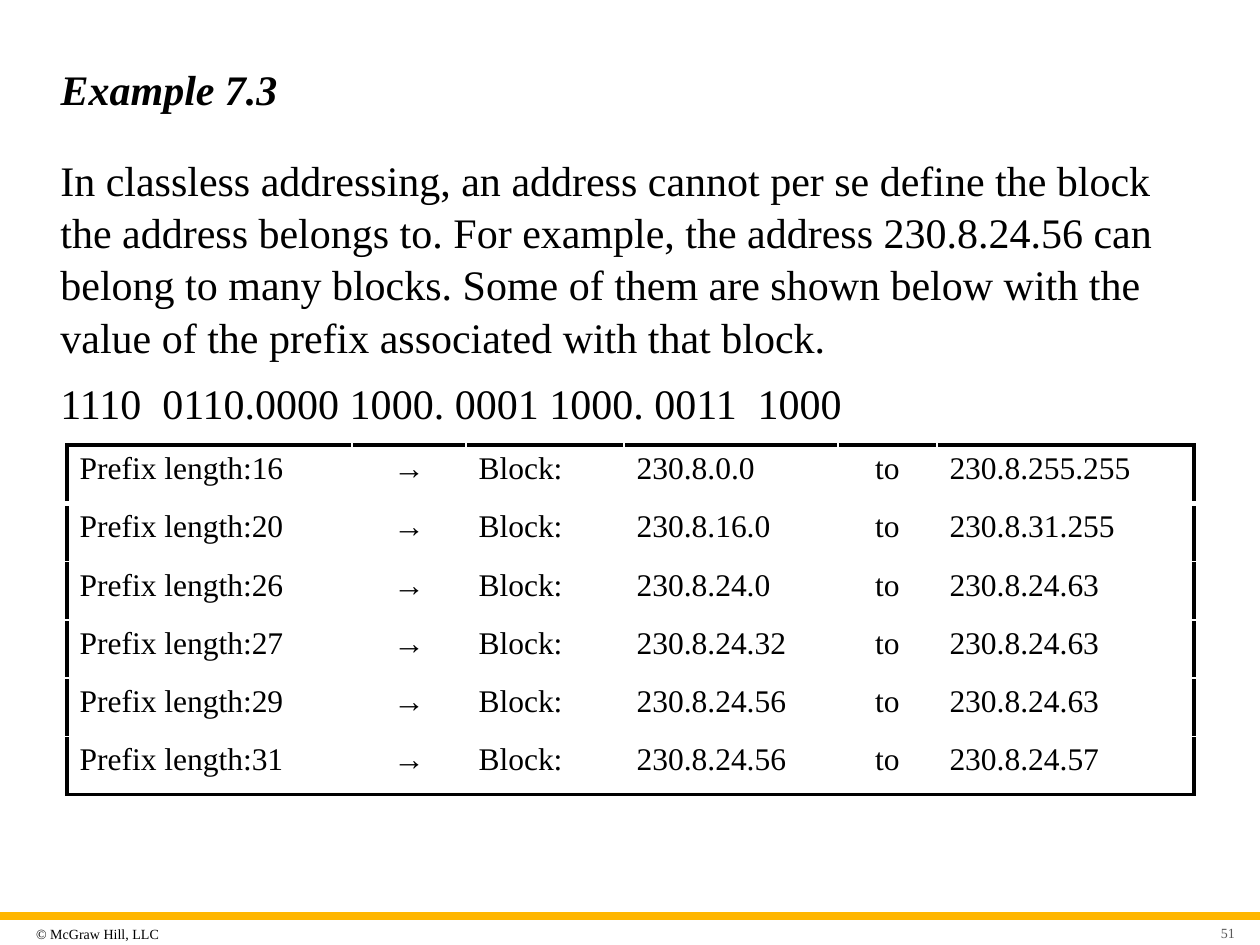
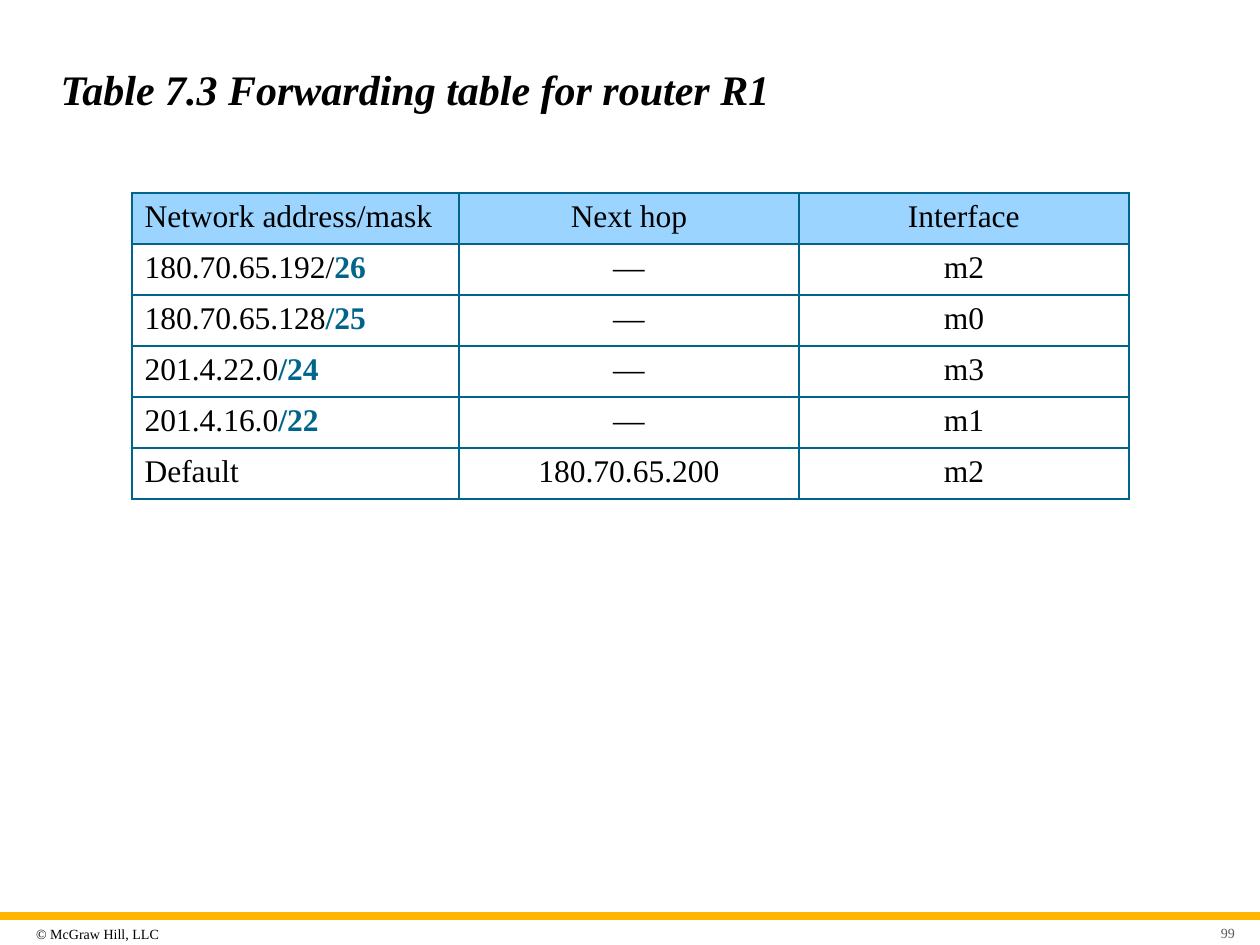
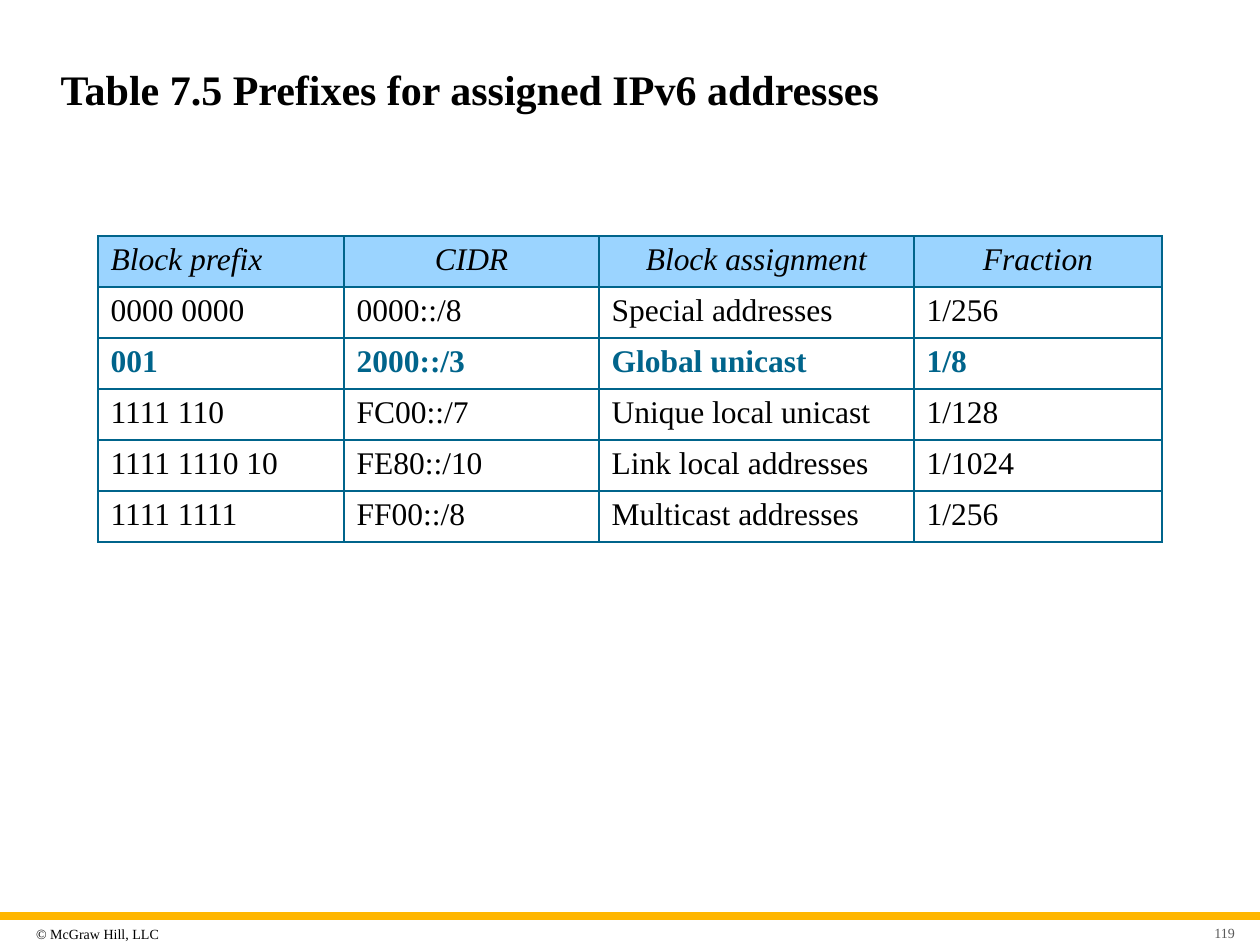
from pptx import Presentation
from pptx.dml.color import RGBColor
from pptx.enum.shapes import MSO_SHAPE as Shape
from pptx.enum.text import MSO_ANCHOR as Anchor, PP_ALIGN as Align
from pptx.oxml import parse_xml
from pptx.oxml.ns import nsdecls
from pptx.util import Emu, Pt

FACE = "Times New Roman"
BLACK, WHITE, GREY = "000000", "FFFFFF", "595959"
GOLD, TEAL, SKY = "FFB600", "00648B", "9BD4FF"
TITLE = (48, 42, 1166, 93)


def px(n):
    return Emu(round(n * 914400 / 126))


def rgb(code):
    return RGBColor.from_string(code)


def add_run(para, text, size, color=BLACK, bold=False, italic=False):
    run = para.add_run()
    run.text = text
    font = run.font
    font.name, font.size = FACE, Pt(size)
    font.bold, font.italic = bold, italic
    font.color.rgb = rgb(color)


def add_box(slide, area, pad=None, anchor=Anchor.TOP):
    frame = slide.shapes.add_textbox(*map(px, area)).text_frame
    frame.word_wrap = True
    frame.vertical_anchor = anchor
    if pad:
        frame.margin_left, frame.margin_top = px(pad[0]), px(pad[1])
        frame.margin_right, frame.margin_bottom = px(pad[2]), px(pad[3])
    return frame


def add_foot(slide, page):
    band = slide.shapes.add_shape(Shape.RECTANGLE, *map(px, (0, 912, 1260, 8)))
    band.shadow.inherit = False
    band.fill.solid()
    band.fill.fore_color.rgb = rgb(GOLD)
    band.line.fill.background()
    owner = add_box(slide, (30, 919, 170, 30), (6, 6, 6, 6), Anchor.MIDDLE)
    add_run(owner.paragraphs[0], "© McGraw Hill, LLC", 8)
    count = add_box(slide, (1192, 921, 49, 23), (12, 6, 6, 6), Anchor.MIDDLE)
    count.paragraphs[0].alignment = Align.RIGHT
    add_run(count.paragraphs[0], str(page), 8, GREY)


def add_slide(deck, title, page, italic=True):
    slide = deck.slides.add_slide(deck.slide_layouts[5])
    add_foot(slide, page)
    head = slide.shapes.title
    head.left, head.top, head.width, head.height = map(px, TITLE)
    frame = head.text_frame
    frame.vertical_anchor = Anchor.MIDDLE
    para = frame.paragraphs[0]
    para.alignment = Align.LEFT
    add_run(para, title, 24, bold=True, italic=italic)
    return slide


def add_body(slide, area, texts):
    frame = add_box(slide, area)
    for i, text in enumerate(texts):
        para = frame.add_paragraph() if i else frame.paragraphs[0]
        para.line_spacing = 1.04
        para.space_after = Pt(8)
        add_run(para, text, 24)


def set_edge(cell, side, color, width):
    cell._tc.get_or_add_tcPr().append(parse_xml(
        f'<a:ln{side} {nsdecls("a")} w="{Pt(width)}"><a:solidFill>'
        f'<a:srgbClr val="{color}"/></a:solidFill></a:ln{side}>'))


def grid_edge(side, row, col, rows, cols):
    return TEAL, 1


def frame_edge(side, row, col, rows, cols):
    outer = {"L": col == 0, "R": col == cols - 1,
             "T": row == 0, "B": row == rows - 1}
    if outer[side]:
        return BLACK, 2.25
    return WHITE, 3 if side == "B" and row == 0 else 1


def add_grid(slide, spot, widths, height, data, edge=grid_edge,
             head=WHITE, slant=False, mid=(), top=()):
    rows, cols = len(data), len(widths)
    area = (*spot, sum(widths), height)
    table = slide.shapes.add_table(rows, cols, *map(px, area)).table
    table.first_row = table.horz_banding = False
    for col, width in zip(table.columns, widths):
        col.width = px(width)
    for r, line in enumerate(data):
        for c, text in enumerate(line):
            cell = table.cell(r, c)
            for side in "LRTB":
                set_edge(cell, side, *edge(side, r, c, rows, cols))
            cell.fill.solid()
            cell.fill.fore_color.rgb = rgb(WHITE if r else head)
            para = cell.text_frame.paragraphs[0]
            center = c in (mid if r else top)
            para.alignment = Align.CENTER if center else Align.LEFT
            plain, _, strong = text.partition("|")
            if plain:
                add_run(para, plain, 18, italic=slant and r == 0)
            if strong:
                add_run(para, strong, 18, TEAL, bold=True)


def main():
    deck = Presentation()
    deck.slide_width, deck.slide_height = px(1260), px(945)

    slide = add_slide(deck, "Example 7.3", 51)
    add_body(slide, (48, 146, 1166, 273), [
        "In classless addressing, an address cannot per se define the block "
        "the address belongs to. For example, the address 230.8.24.56 can "
        "belong to many blocks. Some of them are shown below with the value "
        "of the prefix associated with that block.",
        "1110  0110.0000 1000. 0001 1000. 0011  1000"])
    blocks = [
        (16, "230.8.0.0", "230.8.255.255"),
        (20, "230.8.16.0", "230.8.31.255"),
        (26, "230.8.24.0", "230.8.24.63"),
        (27, "230.8.24.32", "230.8.24.63"),
        (29, "230.8.24.56", "230.8.24.63"),
        (31, "230.8.24.56", "230.8.24.57")]
    data = [(f"Prefix length:{size}", "→", "Block:", first, "to", last)
            for size, first, last in blocks]
    add_grid(slide, (67, 445), (285, 114, 158, 214, 99, 257), 350, data,
             edge=frame_edge, mid=(1, 4), top=(1, 4))

    slide = add_slide(deck, "Table 7.3 Forwarding table for router R1", 99)
    add_grid(slide, (132, 193), (327, 340, 330), 306, [
        ("Network address/mask", "Next hop", "Interface"),
        ("180.70.65.192/|26", "—", "m2"),
        ("180.70.65.128|/25", "—", "m0"),
        ("201.4.22.0|/24", "—", "m3"),
        ("201.4.16.0|/22", "—", "m1"),
        ("Default", "180.70.65.200", "m2")],
        head=SKY, mid=(1, 2), top=(1, 2))

    slide = add_slide(deck, "Table 7.5 Prefixes for assigned IPv6 addresses",
                      119, italic=False)
    add_grid(slide, (98, 236), (246, 255, 315, 248), 306, [
        ("Block prefix", "CIDR", "Block assignment", "Fraction"),
        ("0000 0000", "0000::/8", "Special addresses", "1/256"),
        ("|001", "|2000::/3", "|Global unicast", "|1/8"),
        ("1111 110", "FC00::/7", "Unique local unicast", "1/128"),
        ("1111 1110 10", "FE80::/10", "Link local addresses", "1/1024"),
        ("1111 1111", "FF00::/8", "Multicast addresses", "1/256")],
        head=SKY, slant=True, top=(1, 2, 3))

    deck.save("out.pptx")


if __name__ == "__main__":
    main()
